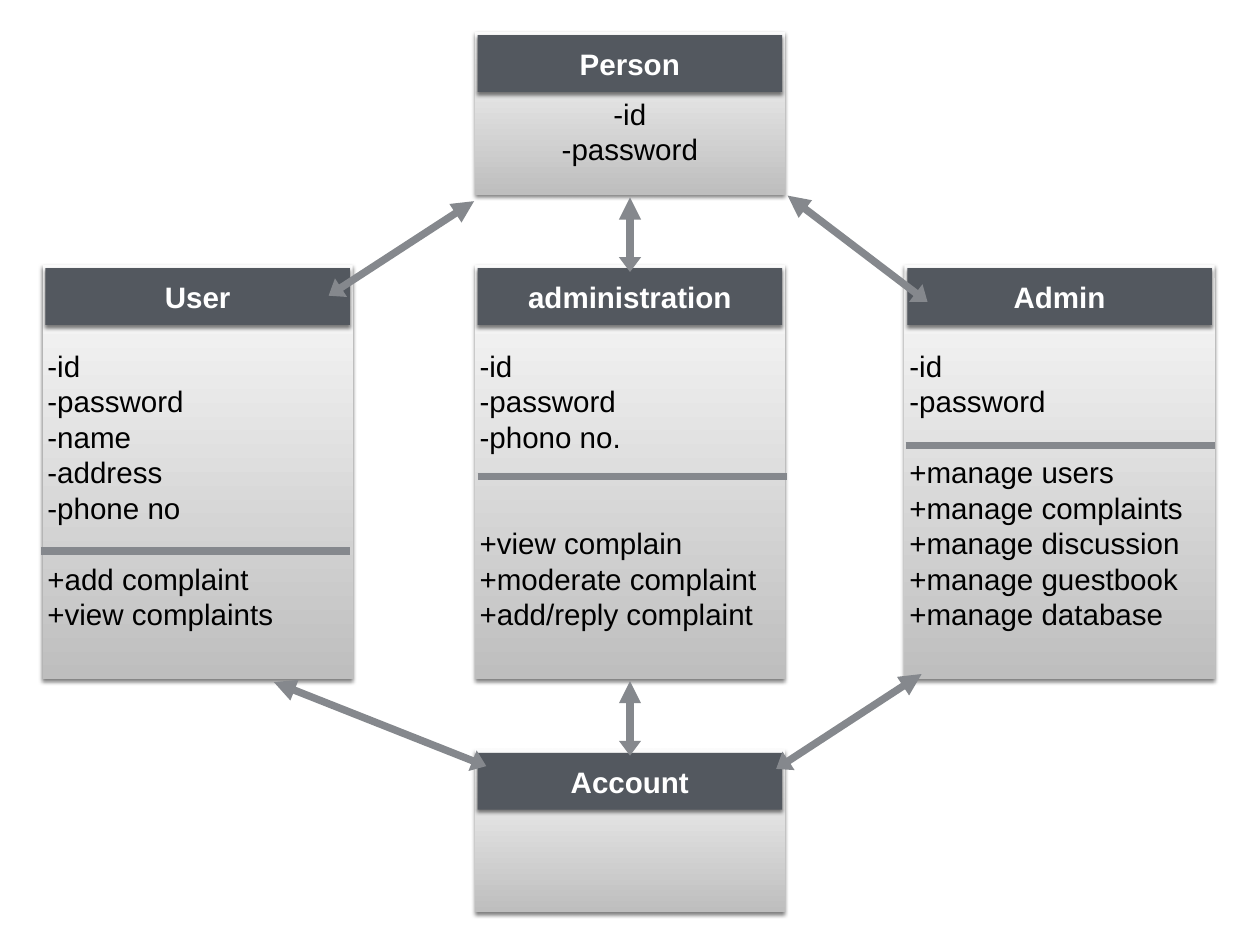
import dataclasses

import lxml.etree
import pptx
import pptx.dml.color
import pptx.enum.shapes
import pptx.enum.text
import pptx.oxml.ns
import pptx.util

Cm = pptx.util.Cm
Pt = pptx.util.Pt
ALIGN = pptx.enum.text.PP_ALIGN
ANCHOR = pptx.enum.text.MSO_ANCHOR


@dataclasses.dataclass(frozen=True)
class Theme:
    """Colours, font and type sizes of the diagram."""
    head: str = "53585F"
    light: str = "FBFBFB"
    dark: str = "BEBEBE"
    line: str = "85888D"
    white: str = "FFFFFF"
    black: str = "000000"
    font: str = "Arial"
    size: float = 24
    lead: float = 28.8
    stroke: float = 6


THEME = Theme()
WIDTH = 8.89
LEFT, MID, RIGHT = 1.22, 13.61, 25.93
TOP, ROW, BASE = 0.91, 7.59, 21.49
SHORT, TALL = 4.67, 11.89

# Name, left, top, height, space above the text, alignment, groups of members
# Each group holds the number of lines left free above it and its members
BOXES = [
    ("Person", MID, TOP, SHORT, 1.83, ALIGN.CENTER, [(0, ["-id", "-password"])]),
    ("User", LEFT, ROW, TALL, 2.39, ALIGN.LEFT, [
        (0, ["-id", "-password", "-name", "-address", "-phone no"]),
        (1, ["+add complaint", "+view complaints"])]),
    ("administration", MID, ROW, TALL, 2.39, ALIGN.LEFT, [
        (0, ["-id", "-password", "-phono no."]),
        (2, ["+view complain", "+moderate complaint", "+add/reply complaint"])]),
    ("Admin", RIGHT, ROW, TALL, 2.39, ALIGN.LEFT, [
        (0, ["-id", "-password"]),
        (1, ["+manage users", "+manage complaints", "+manage discussion",
             "+manage guestbook", "+manage database"])]),
    ("Account", MID, BASE, SHORT, 1.83, ALIGN.LEFT, []),
]
ARROWS = [
    (9.42, 8.48, 13.59, 5.77),
    (18.06, 7.8, 18.06, 5.66),
    (26.59, 8.66, 22.58, 5.61),
    (13.94, 21.97, 7.85, 19.56),
    (18.06, 21.67, 18.06, 19.53),
    (22.25, 22.05, 26.42, 19.33),
]
RULES = [(1.17, 15.8), (13.69, 13.67), (25.96, 12.78)]
SPAN = 8.86


def color(code):
    """Turn a hex code into a colour."""
    return pptx.dml.color.RGBColor.from_string(code)


def node(parent, tag, **attrs):
    """Add a drawing element below a parent."""
    return lxml.etree.SubElement(parent, pptx.oxml.ns.qn("a:" + tag), attrs)


def panel(slide, left, top, width, height):
    """Add a plain rectangle with a soft shadow below it."""
    shape = slide.shapes.add_shape(
        pptx.enum.shapes.MSO_SHAPE.RECTANGLE,
        Cm(left), Cm(top), Cm(width), Cm(height))
    shape.line.fill.background()
    shape.shadow.inherit = False
    effects = shape.element.spPr.find(pptx.oxml.ns.qn("a:effectLst"))
    shade = node(effects, "outerShdw", blurRad=str(Pt(3)), dist=str(Pt(2)),
                 dir="5400000", rotWithShape="0")
    tint = node(shade, "srgbClr", val=THEME.black)
    node(tint, "alpha", val="50000")
    frame = shape.text_frame
    frame.word_wrap = True
    frame.margin_left = frame.margin_right = Cm(0.14)
    frame.margin_top = frame.margin_bottom = Cm(0.14)
    return shape


def write(par, text, code, align, bold=False):
    """Add one styled run to a paragraph."""
    par.alignment = align
    run = par.add_run()
    run.text = text
    run.font.name = THEME.font
    run.font.size = Pt(THEME.size)
    run.font.bold = bold
    run.font.color.rgb = color(code)


def body(slide, left, top, height, inset, align, groups):
    """Add the graded panel that lists the members of a class."""
    shape = panel(slide, left, top, WIDTH, height)
    shape.fill.gradient()
    shape.fill.gradient_angle = 270
    for stop, code in zip(shape.fill.gradient_stops, (THEME.light, THEME.dark)):
        stop.color.rgb = color(code)
    frame = shape.text_frame
    frame.vertical_anchor = ANCHOR.TOP
    frame.margin_top = Cm(inset)
    par = frame.paragraphs[0]
    for gap, members in groups:
        for index, text in enumerate(members):
            if par.runs:
                par = frame.add_paragraph()
            par.line_spacing = Pt(THEME.lead)
            par.space_before = Pt(0 if index else gap * THEME.lead)
            write(par, text, THEME.black, align)


def header(slide, name, left, top):
    """Add the dark title bar of a class."""
    shape = panel(slide, left + 0.08, top + 0.1, WIDTH - 0.16, 1.63)
    shape.fill.solid()
    shape.fill.fore_color.rgb = color(THEME.head)
    shape.text_frame.vertical_anchor = ANCHOR.MIDDLE
    write(shape.text_frame.paragraphs[0], name, THEME.white, ALIGN.CENTER, True)


def link(slide, start, end, arrows=False):
    """Add a thick line, with arrowheads at both ends if asked."""
    line = slide.shapes.add_connector(
        pptx.enum.shapes.MSO_CONNECTOR.STRAIGHT,
        *(Cm(value) for value in (*start, *end)))
    line.line.width = Pt(THEME.stroke)
    line.line.color.rgb = color(THEME.line)
    props = line.element.spPr
    if arrows:
        stroke = props.find(pptx.oxml.ns.qn("a:ln"))
        node(stroke, "headEnd", type="triangle", w="med", len="sm")
        node(stroke, "tailEnd", type="triangle", w="med", len="med")
    node(props, "effectLst")


def main():
    """Build the class diagram and save it."""
    deck = pptx.Presentation()
    deck.slide_width, deck.slide_height = Cm(36.12), Cm(27.1)
    slide = deck.slides.add_slide(deck.slide_layouts[6])
    for name, left, top, height, inset, align, groups in BOXES:
        body(slide, left, top, height, inset, align, groups)
        header(slide, name, left, top)
    for x1, y1, x2, y2 in ARROWS:
        link(slide, (x1, y1), (x2, y2), arrows=True)
    for left, top in RULES:
        link(slide, (left, top), (left + SPAN, top))
    deck.save("out.pptx")


main()
